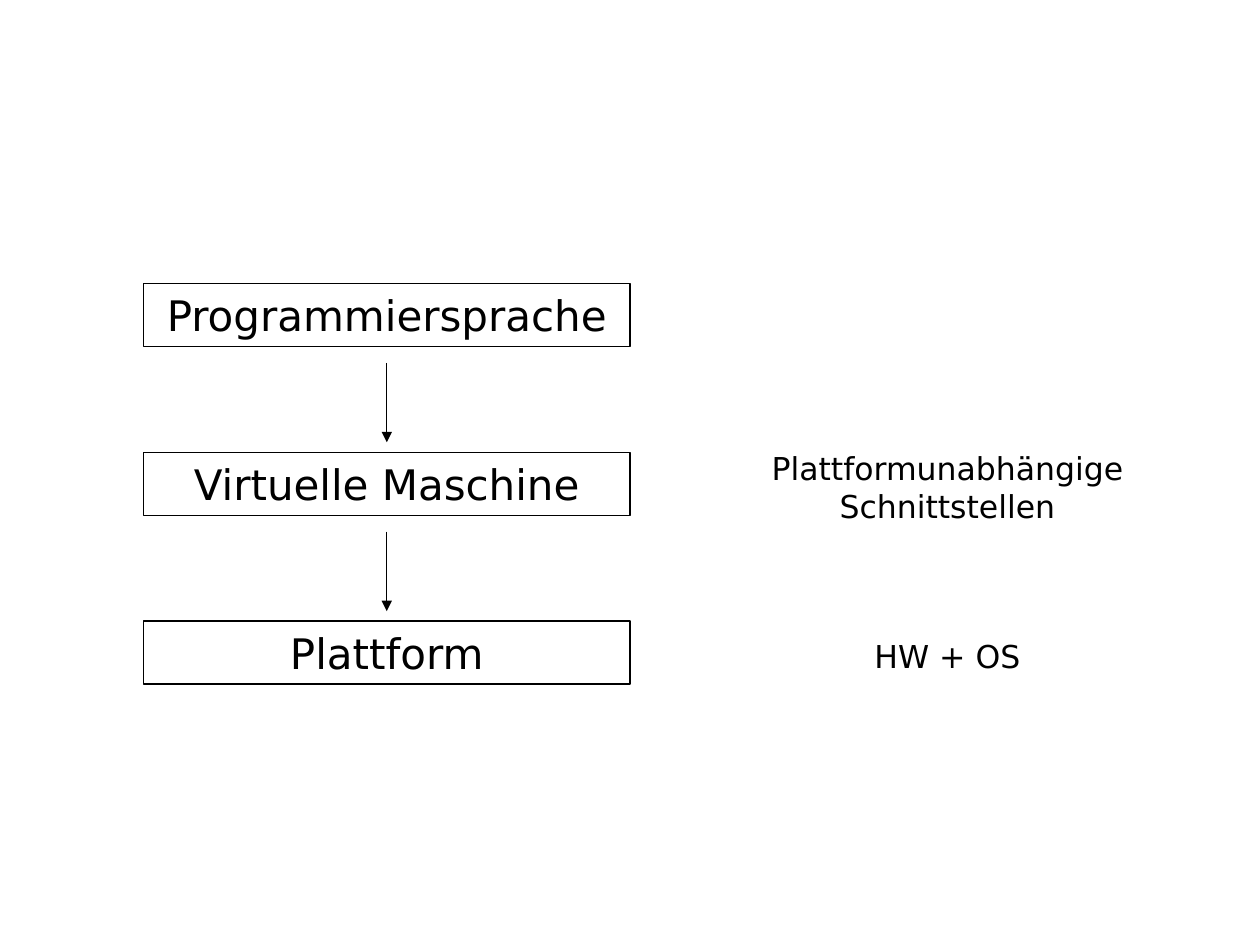
import pptx
import pptx.util
import pptx.dml.color
import pptx.enum.shapes
import pptx.enum.text
import pptx.oxml.ns
from lxml import etree

Inches = pptx.util.Inches
Pt = pptx.util.Pt

# Content: layer name and the note beside it
LAYERS = [
    ("Programmiersprache", None),
    ("Virtuelle Maschine", "Plattformunabhängige\nSchnittstellen"),
    ("Plattform", "HW + OS"),
]

THEME = {
    "ink": pptx.dml.color.RGBColor(0, 0, 0),
    "paper": pptx.dml.color.RGBColor(255, 255, 255),
    "font": "DejaVu Sans",
    "layer_size": Pt(24),
    "note_size": Pt(18),
    "line_width": Pt(0.75),
}

# Layout in inches
LAYER_LEFT, LAYER_TOP, LAYER_WIDTH, LAYER_HEIGHT = 1.14, 2.25, 3.86, 0.5
PITCH = 1.34
NOTE_LEFT, NOTE_WIDTH, NOTE_HEIGHT = 5.55, 3.94, 0.71
NOTE_OFFSET = -0.08
ARROW_START, ARROW_END = 0.63, 1.26


def add_box(slide, text, left, top, width, height, size, wrap):
    shape = slide.shapes.add_shape(
        pptx.enum.shapes.MSO_SHAPE.RECTANGLE,
        Inches(left), Inches(top), Inches(width), Inches(height))
    shape.shadow.inherit = False
    frame = shape.text_frame
    frame.word_wrap = wrap
    frame.vertical_anchor = pptx.enum.text.MSO_ANCHOR.MIDDLE
    paragraph = frame.paragraphs[0]
    paragraph.text = text
    paragraph.alignment = pptx.enum.text.PP_ALIGN.CENTER
    for run in paragraph.runs:
        for name, value in {"name": THEME["font"], "size": size}.items():
            setattr(run.font, name, value)
        run.font.color.rgb = THEME["ink"]
    return shape


def draw_line(line):
    line.color.rgb = THEME["ink"]
    line.width = THEME["line_width"]


def add_arrow(slide, x, start, end):
    arrow = slide.shapes.add_connector(
        pptx.enum.shapes.MSO_CONNECTOR.STRAIGHT,
        Inches(x), Inches(start), Inches(x), Inches(end))
    draw_line(arrow.line)
    qn = pptx.oxml.ns.qn
    etree.SubElement(arrow.line._get_or_add_ln(), qn("a:tailEnd"), type="triangle")
    etree.SubElement(arrow._element.spPr, qn("a:effectLst"))


def main():
    presentation = pptx.Presentation()
    presentation.slide_width = Inches(10)
    presentation.slide_height = Inches(7.5)
    slide = presentation.slides.add_slide(presentation.slide_layouts[6])

    for index, (name, note) in enumerate(LAYERS):
        top = LAYER_TOP + index * PITCH

        # Outlined layer
        layer = add_box(slide, name, LAYER_LEFT, top, LAYER_WIDTH,
                        LAYER_HEIGHT, THEME["layer_size"], True)
        layer.fill.background()
        draw_line(layer.line)

        # Arrow to the next layer
        if index < len(LAYERS) - 1:
            add_arrow(slide, LAYER_LEFT + LAYER_WIDTH / 2,
                      top + ARROW_START, top + ARROW_END)

        # Note beside the layer
        if note:
            label = add_box(slide, note, NOTE_LEFT, top + NOTE_OFFSET, NOTE_WIDTH,
                            NOTE_HEIGHT, THEME["note_size"], False)
            label.fill.solid()
            label.fill.fore_color.rgb = THEME["paper"]
            label.line.fill.background()

    presentation.save("out.pptx")


if __name__ == "__main__":
    main()
